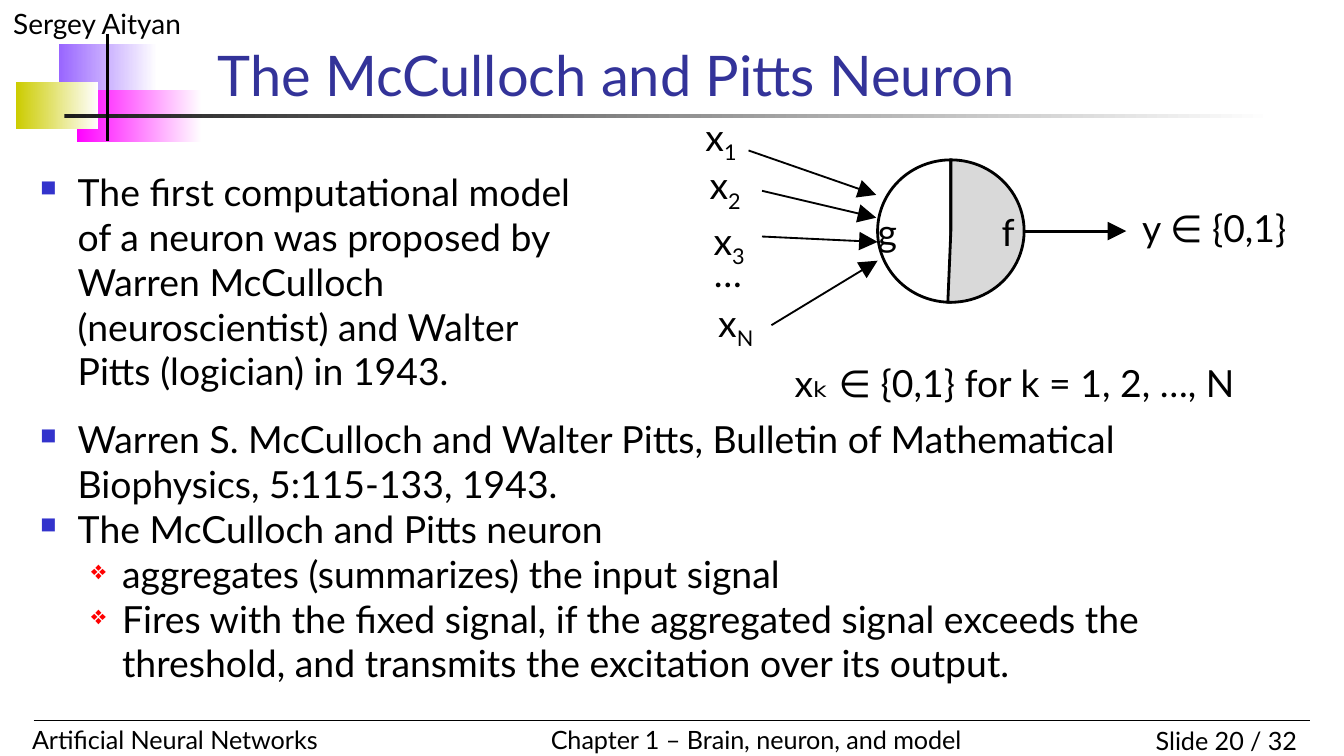
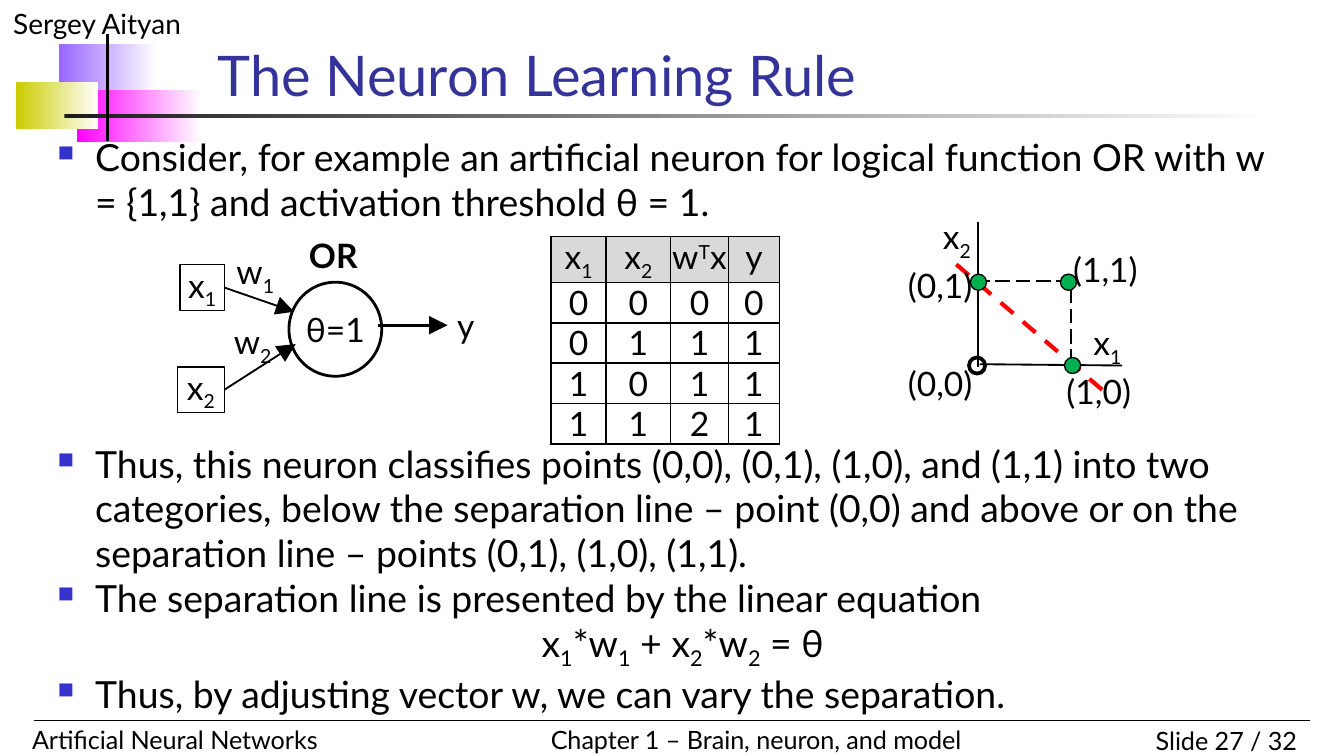
from itertools import product
from typing import NamedTuple

from lxml import etree
from pptx import Presentation
from pptx.dml.color import RGBColor
from pptx.enum import dml, shapes, text
from pptx.oxml.ns import qn
from pptx.util import Pt

PX = 9144  # one px is 1/100 inch
FONT = "Lato"
HUES = {
    "ink": "000000", "white": "FFFFFF", "title": "333399", "grey": "D9D9D9",
    "violet": "9966FF", "pink": "FF00FF", "olive": "CCCC00", "coal": "1C1C1C",
    "blue": "3333CC", "red": "FF0000", "green": "00B050",
}
ALIGN = {"l": text.PP_ALIGN.LEFT, "c": text.PP_ALIGN.CENTER, "r": text.PP_ALIGN.RIGHT}
KIND = shapes.MSO_SHAPE
MID, TOP, LOW = text.MSO_ANCHOR.MIDDLE, text.MSO_ANCHOR.TOP, text.MSO_ANCHOR.BOTTOM
INSET = (10, 5, 10, 5)
FLAT = (0, 0, 0, 0)


class Box(NamedTuple):
    x: int
    y: int
    w: int
    h: int


class Label(NamedTuple):
    words: str
    box: Box
    bold: bool = False


class Line(NamedTuple):
    x1: int
    y1: int
    x2: int
    y2: int
    width: float = 1
    arrow: bool = False
    hue: str = "ink"
    dash: str = ""


class Bullet(NamedTuple):
    sign: str
    hue: str
    size: int
    left: int
    hang: int


class Item(NamedTuple):
    words: str
    level: int = 0


BULLETS = (Bullet("■", "blue", 60, 28, 28), Bullet("❖", "red", 70, 61, 23))


def rgb(hue: str) -> RGBColor:
    return RGBColor.from_string(HUES[hue])


def emu(box: Box) -> list[int]:
    return [v * PX for v in box]


def sub(node, tag: str, **attrs):
    return etree.SubElement(node, qn(tag), attrs)


# Text
def mark(para, bullet: Bullet) -> None:
    props = para._p.get_or_add_pPr()
    props.set("marL", str(bullet.left * PX))
    props.set("indent", str(-bullet.hang * PX))
    sub(sub(props, "a:buClr"), "a:srgbClr", val=HUES[bullet.hue])
    sub(props, "a:buSzPct", val=str(bullet.size * 1000))
    sub(props, "a:buChar", char=bullet.sign)


def write(frame, *lines: str | Item, size: float = 18, hue: str = "ink",
          align: str = "l", bold: bool = False, shift: int = -25) -> None:
    """Fill a frame; text between bars is shifted off the baseline."""
    for n, line in enumerate(lines):
        para = frame.add_paragraph() if n else frame.paragraphs[0]
        para.alignment = ALIGN[align]
        words = line
        if isinstance(line, Item):
            words, para.level = line.words, line.level
            mark(para, BULLETS[line.level])
        elif n:
            para.alignment = ALIGN["c"]
        for k, part in enumerate(words.split("|")):
            if not part:
                continue
            run = para.add_run()
            run.text = part
            font = run.font
            font.name, font.size, font.bold = FONT, Pt(size), bold
            font.color.rgb = rgb(hue)
            if k % 2:
                font._element.set("baseline", str(shift * 1000))


def fit(frame, pad=INSET, wrap: bool = True, grow: bool = False, anchor=TOP) -> None:
    sides = [v * PX for v in pad]
    frame.margin_left, frame.margin_top, frame.margin_right, frame.margin_bottom = sides
    frame.word_wrap, frame.vertical_anchor = wrap, anchor
    size = text.MSO_AUTO_SIZE
    frame.auto_size = size.SHAPE_TO_FIT_TEXT if grow else size.NONE


def note(pool, box: Box, *lines: str | Item, pad=INSET, wrap: bool = True,
         grow: bool = True, **form) -> None:
    frame = pool.add_textbox(*emu(box)).text_frame
    fit(frame, pad, wrap, grow)
    write(frame, *lines, **form)


def tag(pool, labels: list[Label], **form) -> None:
    for label in labels:
        note(pool, label.box, label.words, align="c", bold=label.bold, **form)


# Shapes and lines
def shape(pool, kind, box: Box, fill: str = "", width: float = 0, fade: bool = False):
    item = pool.add_shape(kind, *emu(box))
    item.shadow.inherit = False
    if fade:
        item.fill.gradient()
        item.fill.gradient_angle = 0
        for n, (stop, hue) in enumerate(zip(item.fill.gradient_stops, (fill, "white"))):
            stop.color.rgb, stop.position = rgb(hue), n
    elif fill:
        item.fill.solid()
        item.fill.fore_color.rgb = rgb(fill)
    else:
        item.fill.background()
    if width:
        item.line.color.rgb, item.line.width = rgb("ink"), Pt(width)
    else:
        item.line.fill.background()
    return item


def draw(pool, *lines: Line) -> None:
    for line in lines:
        item = pool.add_connector(shapes.MSO_CONNECTOR.STRAIGHT, *[v * PX for v in line[:4]])
        item.line.color.rgb, item.line.width = rgb(line.hue), Pt(line.width)
        if line.dash:
            item.line.dash_style = dml.MSO_LINE[line.dash]
        if line.arrow:
            sub(item.line._get_or_add_ln(), "a:tailEnd", type="triangle", w="lg", len="lg")
        sub(item._element.spPr, "a:effectLst")


# Shared frame: bands, rules, footer and title
BANDS = (
    ("violet", Box(44, 33, 73, 39)), ("pink", Box(57, 67, 93, 39)),
    ("olive", Box(12, 61, 61, 35)), ("coal", Box(48, 85, 900, 3)),
)


def start(deck, title: str, page: int):
    slide = deck.slides.add_slide(deck.slide_layouts[5])
    pool = slide.shapes
    for hue, box in BANDS:
        shape(pool, KIND.RECTANGLE, box, hue, fade=True)
    note(pool, Box(0, 0, 250, 35), "Sergey Aityan", size=15)
    note(pool, Box(825, 535, 150, 33), f"Slide {page} / 32", size=13.5, align="r")
    note(pool, Box(14, 534, 370, 33), "Artificial Neural Networks", size=13.5)
    note(pool, Box(400, 534, 346, 33), "Chapter 1 – Brain, neuron, and model",
         size=13.5, wrap=False)
    draw(pool, Line(25, 536, 975, 536, 0.75), Line(80, 25, 80, 105, 2))
    head = pool.title
    head.left, head.top, head.width, head.height = emu(Box(152, 31, 735, 54))
    fit(head.text_frame, anchor=LOW)
    write(head.text_frame, title, size=30, hue="title")
    return pool


def body(pool, box: Box, *lines: str | Item) -> None:
    note(pool, box, *lines, size=20, grow=False)


# Slide with the neuron model
def model(deck) -> None:
    pool = start(deck, "The McCulloch and Pitts Neuron", 20)
    body(pool, Box(20, 121, 417, 92), Item(
        "The first computational model of a neuron was proposed by Warren McCulloch "
        "(neuroscientist) and Walter Pitts (logician) in 1943."))
    body(pool, Box(20, 305, 858, 171),
         Item("Warren S. McCulloch and Walter Pitts, Bulletin of Mathematical "
              "Biophysics, 5:115-133, 1943."),
         Item("The McCulloch and Pitts neuron"),
         Item("aggregates (summarizes) the input signal", 1),
         Item("Fires with the fixed signal, if the aggregated signal exceeds the "
              "threshold, and transmits the excitation over its output.", 1))

    cell = pool.add_group_shape().shapes
    for name, fill, turn, side, pad in (("g", "", 53.84, "l", 0), ("f", "grey", 52.54, "r", 7)):
        half = shape(cell, KIND.PIE, Box(653, 119, 109, 106), fill, 1.5)
        half.adjustments[0], half.adjustments[1] = turn, 162
        if side == "r":
            half._element.spPr.find(qn("a:xfrm")).set("flipH", "1")
        fit(half.text_frame, (pad, 4, pad, 4), wrap=False, anchor=MID)
        write(half.text_frame, name, size=20, align=side)
    draw(cell, Line(557, 112, 652, 145, arrow=True), Line(567, 142, 652, 162, arrow=True),
         Line(567, 176, 653, 180, arrow=True), Line(574, 242, 653, 194, arrow=True),
         Line(761, 172, 838, 172, 1.5, True))
    tag(cell, [
        Label("x|1|", Box(521, 85, 31, 32)),
        Label("x|2|", Box(520, 121, 39, 32)),
        Label("x|3|", Box(525, 162, 35, 32)),
        Label("…", Box(524, 186, 35, 32)),
        Label("x|N|", Box(530, 223, 35, 32)),
        Label("xₖ ∈ {0,1} for k = 1, 2, …, N", Box(574, 268, 362, 34)),
        Label("y ∈ {0,1}", Box(849, 153, 109, 32)),
    ], size=20, pad=FLAT)


# Truth table of OR
def truth(pool) -> None:
    rows = [("x|1|", "x|2|", "w|T|x", "y")]
    rows += [(a, b, a + b, int(a + b >= 1)) for a, b in product((0, 1), repeat=2)]
    box = Box(410, 176, 171, 150)
    frame = pool.add_table(len(rows), 4, *emu(box))
    grid = frame.table
    for col, width in zip(grid.columns, (41, 48, 43, 38)):
        col.width = width * PX
    for r, row in enumerate(rows):
        grid.rows[r].height = 26 * PX
        for c, value in enumerate(row):
            cell = grid.cell(r, c)
            cell.margin_left = cell.margin_right = cell.margin_top = cell.margin_bottom = 0
            for side in "LRTB":
                edge = sub(cell._tc.get_or_add_tcPr(), f"a:ln{side}", w=str(Pt(1)))
                sub(sub(edge, "a:solidFill"), "a:srgbClr", val=HUES["ink"])
            cell.fill.solid()
            cell.fill.fore_color.rgb = rgb("white" if r else "grey")
            write(cell.text_frame, str(value), align="c", shift=30 if c == 2 else -25)
    frame.height = box.h * PX


# Slide with the learning rule
def rule(deck) -> None:
    pool = start(deck, "The Neuron Learning Rule", 27)
    body(pool, Box(33, 95, 933, 50), Item(
        "Consider, for example an artificial neuron for logical function OR with "
        "w = {1,1} and activation threshold θ = 1."))
    body(pool, Box(33, 323, 950, 208),
         Item("Thus, this neuron classifies points (0,0), (0,1), (1,0), and (1,1) into "
              "two categories, below the separation line – point (0,0) and above or on "
              "the separation line – points (0,1), (1,0), (1,1)."),
         Item("The separation line is presented by the linear equation"),
         "x|1|*w|1| + x|2|*w|2| = θ",
         Item("Thus, by adjusting vector w, we can vary the separation."))
    truth(pool)

    # OR neuron
    gate = pool.add_group_shape().shapes
    for name, box in (("x|1|", Box(134, 197, 33, 34)), ("x|2|", Box(132, 273, 35, 34))):
        port = shape(gate, KIND.RECTANGLE, box, width=0.75)
        fit(port.text_frame, (0, 0, 0, 4), grow=True)
        write(port.text_frame, name, align="c")
    draw(gate, Line(167, 214, 219, 232, arrow=True), Line(167, 290, 220, 256, arrow=True),
         Line(281, 242, 333, 242, 1.5, True))
    core = shape(gate, KIND.OVAL, Box(215, 210, 69, 70), width=1.5)
    fit(core.text_frame, FLAT, wrap=False, anchor=MID)
    write(core.text_frame, "θ=1", align="c")
    tag(gate, [
        Label("y", Box(328, 227, 37, 30)),
        Label("OR", Box(212, 175, 72, 30), True),
        Label("w|2|", Box(167, 239, 42, 30)),
        Label("w|1|", Box(172, 187, 36, 30)),
    ], pad=FLAT)

    # Separation plot
    plot = pool.add_group_shape().shapes
    draw(plot, Line(820, 290, 706, 192, 2.25, hue="red", dash="DASH"),
         Line(728, 165, 728, 273), Line(835, 272, 729, 271),
         Line(797, 209, 729, 209, dash="LONG_DASH"),
         Line(797, 271, 797, 209, dash="LONG_DASH"))
    tag(plot, [
        Label("x|1|", Box(803, 235, 42, 40)),
        Label("x|2|", Box(691, 156, 42, 40)),
        Label("(0,1)", Box(662, 192, 75, 40)),
        Label("(0,0)", Box(662, 265, 75, 40)),
        Label("(1,1)", Box(785, 180, 75, 40)),
        Label("(1,0)", Box(780, 271, 75, 40)),
    ], wrap=False)
    for x, y, fill in ((789, 204, "green"), (792, 266, "green"), (721, 266, ""), (722, 204, "green")):
        shape(plot, KIND.OVAL, Box(x, y, 12, 12), fill, 0.75 if fill else 2)


def main() -> None:
    deck = Presentation()
    deck.slide_width = 1000 * PX
    deck.slide_height = deck.slide_width * 9 // 16
    model(deck)
    rule(deck)
    deck.save("out.pptx")


if __name__ == "__main__":
    main()
